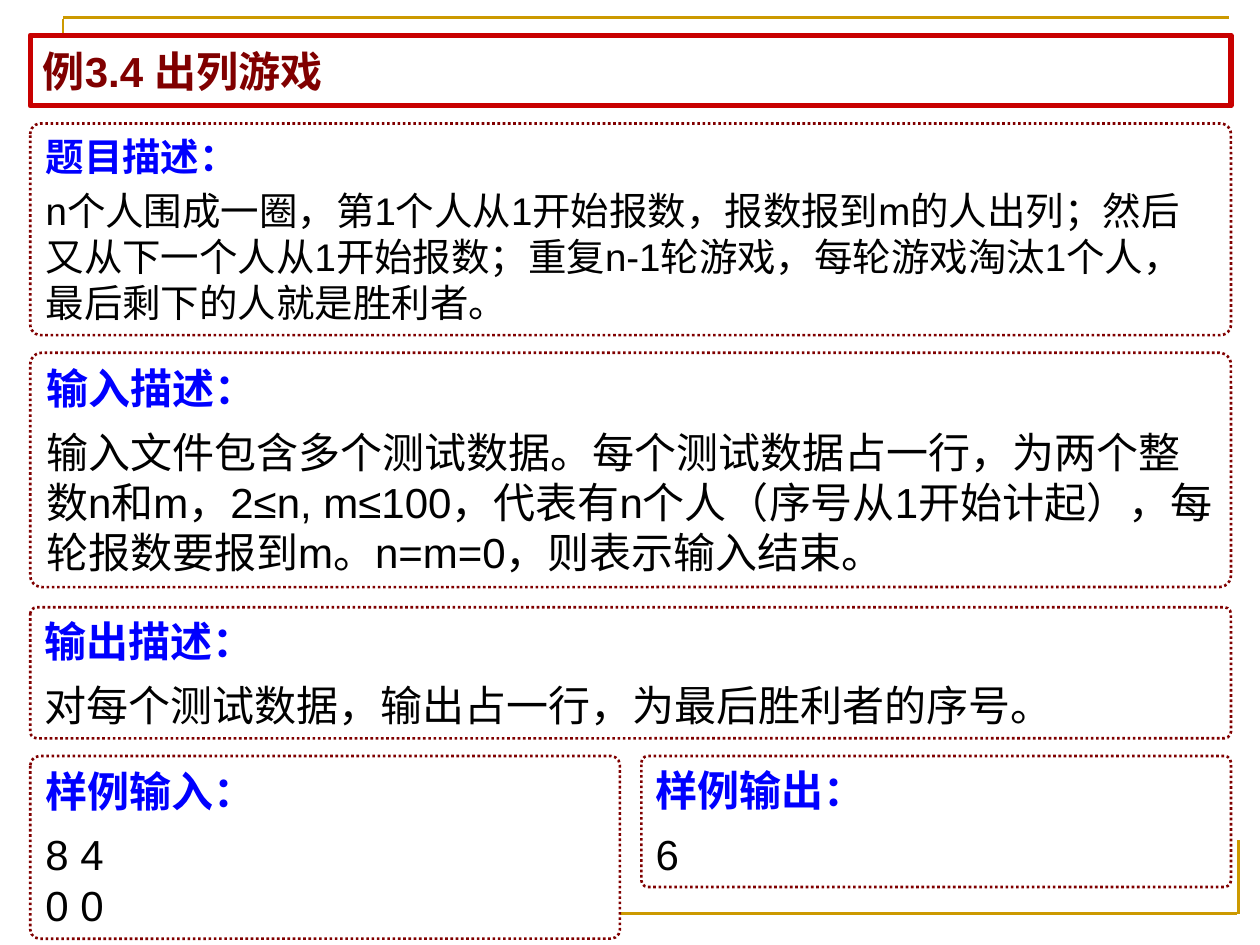
from lxml import etree
from pptx import Presentation
from pptx import util as u
from pptx.dml.color import RGBColor
from pptx.enum import dml, shapes, text
from pptx.oxml import ns

GOLD = RGBColor(0xCC, 0x99, 0x00)
RED = RGBColor(0xC8, 0x00, 0x00)
MAROON = RGBColor(0x80, 0x00, 0x00)
BLUE = RGBColor(0x00, 0x00, 0xFF)
BLACK = RGBColor(0x00, 0x00, 0x00)
WHITE = RGBColor(0xFF, 0xFF, 0xFF)

LEFT, WIDTH = 0.24, 9.53
HALF_WIDTH = 4.68
RIGHT_HALF = LEFT + WIDTH - HALF_WIDTH

FRAME_LINES = [
    (0.5, 0.15, 0.5, 0.74),
    (0.5, 0.14, 9.75, 0.14),
    (9.83, 6.67, 9.83, 7.25),
    (0.57, 7.25, 9.82, 7.25),
]

SECTIONS = [
    (LEFT, 0.98, WIDTH, 1.68, 22, 4.1, 4.1, "题目描述：",
     ["n个人围成一圈，第1个人从1开始报数，报数报到m的人出列；然后又从下一个人从1开始报数；"
      "重复n-1轮游戏，每轮游戏淘汰1个人，最后剩下的人就是胜利者。"]),
    (LEFT, 2.8, WIDTH, 1.86, 24, 7.5, 7.5, "输入描述：",
     ["输入文件包含多个测试数据。每个测试数据占一行，为两个整数n和m，2≤n, m≤100，"
      "代表有n个人（序号从1开始计起），每轮报数要报到m。n=m=0，则表示输入结束。"]),
    (LEFT, 4.82, WIDTH, 1.04, 24, 7.5, 7.5, "输出描述：",
     ["对每个测试数据，输出占一行，为最后胜利者的序号。"]),
    (LEFT, 6, HALF_WIDTH, 1.45, 24, 7.5, 0, "样例输入：", ["8 4", "0 0"]),
    (RIGHT_HALF, 6, HALF_WIDTH, 1.04, 24, 7.5, 0, "样例输出：", ["6"]),
]


class SlideBuilder:
    font_name = "Arial"
    frame_format = {
        "word_wrap": True,
        "auto_size": text.MSO_AUTO_SIZE.NONE,
        "vertical_anchor": text.MSO_ANCHOR.MIDDLE,
        "margin_left": u.Inches(0.1),
        "margin_right": u.Inches(0.1),
        "margin_top": u.Inches(0.05),
        "margin_bottom": u.Inches(0.05),
    }

    def __init__(self, slide):
        self.slide = slide

    def apply(self, target, values):
        for name, value in values.items():
            setattr(target, name, value)

    def format_box(self, shape, color, width):
        shape.fill.solid()
        shape.fill.fore_color.rgb = WHITE
        shape.line.color.rgb = color
        shape.line.width = u.Pt(width)
        self.apply(shape.text_frame, self.frame_format)

    def fill_paragraph(self, paragraph, content, size, color, bold, after=0):
        paragraph.text = content
        self.apply(paragraph, {
            "alignment": text.PP_ALIGN.LEFT,
            "space_before": u.Pt(0),
            "space_after": u.Pt(after),
        })
        self.apply(paragraph.font, {
            "name": self.font_name, "size": u.Pt(size), "bold": bold,
        })
        paragraph.font.color.rgb = color

    def line(self, *ends):
        connector = self.slide.shapes.add_connector(
            shapes.MSO_CONNECTOR.STRAIGHT, *map(u.Inches, ends))
        connector.line.color.rgb = GOLD
        connector.line.width = u.Pt(1.5)
        etree.SubElement(connector._element.spPr, ns.qn("a:effectLst"))

    def title(self, content, left, top, width, height):
        title = self.slide.shapes.title
        self.apply(title, {
            "left": u.Inches(left), "top": u.Inches(top),
            "width": u.Inches(width), "height": u.Inches(height),
        })
        geometry = etree.SubElement(
            title._element.spPr, ns.qn("a:prstGeom"), prst="roundRect")
        etree.SubElement(geometry, ns.qn("a:avLst"))
        self.format_box(title, RED, 3)
        self.fill_paragraph(
            title.text_frame.paragraphs[0], content, 24, MAROON, True)
        self.slide.shapes._spTree.append(title._element)

    def section(self, left, top, width, height, size,
                heading_after, body_after, heading, body):
        box = self.slide.shapes.add_shape(
            shapes.MSO_SHAPE.ROUNDED_RECTANGLE,
            *map(u.Inches, (left, top, width, height)))
        box.adjustments[0] = 0.05
        box.shadow.inherit = False
        self.format_box(box, MAROON, 1.5)
        box.line.dash_style = dml.MSO_LINE.ROUND_DOT
        frame = box.text_frame
        self.fill_paragraph(
            frame.paragraphs[0], heading, size, BLUE, True, heading_after)
        for content in body:
            self.fill_paragraph(
                frame.add_paragraph(), content, size, BLACK, False, body_after)


def main():
    presentation = Presentation()
    presentation.slide_width = u.Inches(10)
    presentation.slide_height = u.Inches(7.5)
    slide = presentation.slides.add_slide(presentation.slide_layouts[5])
    builder = SlideBuilder(slide)
    for ends in FRAME_LINES:
        builder.line(*ends)
    builder.title("例3.4 出列游戏", LEFT, 0.28, WIDTH, 0.56)
    for section in SECTIONS:
        builder.section(*section)
    presentation.save("out.pptx")


if __name__ == "__main__":
    main()
